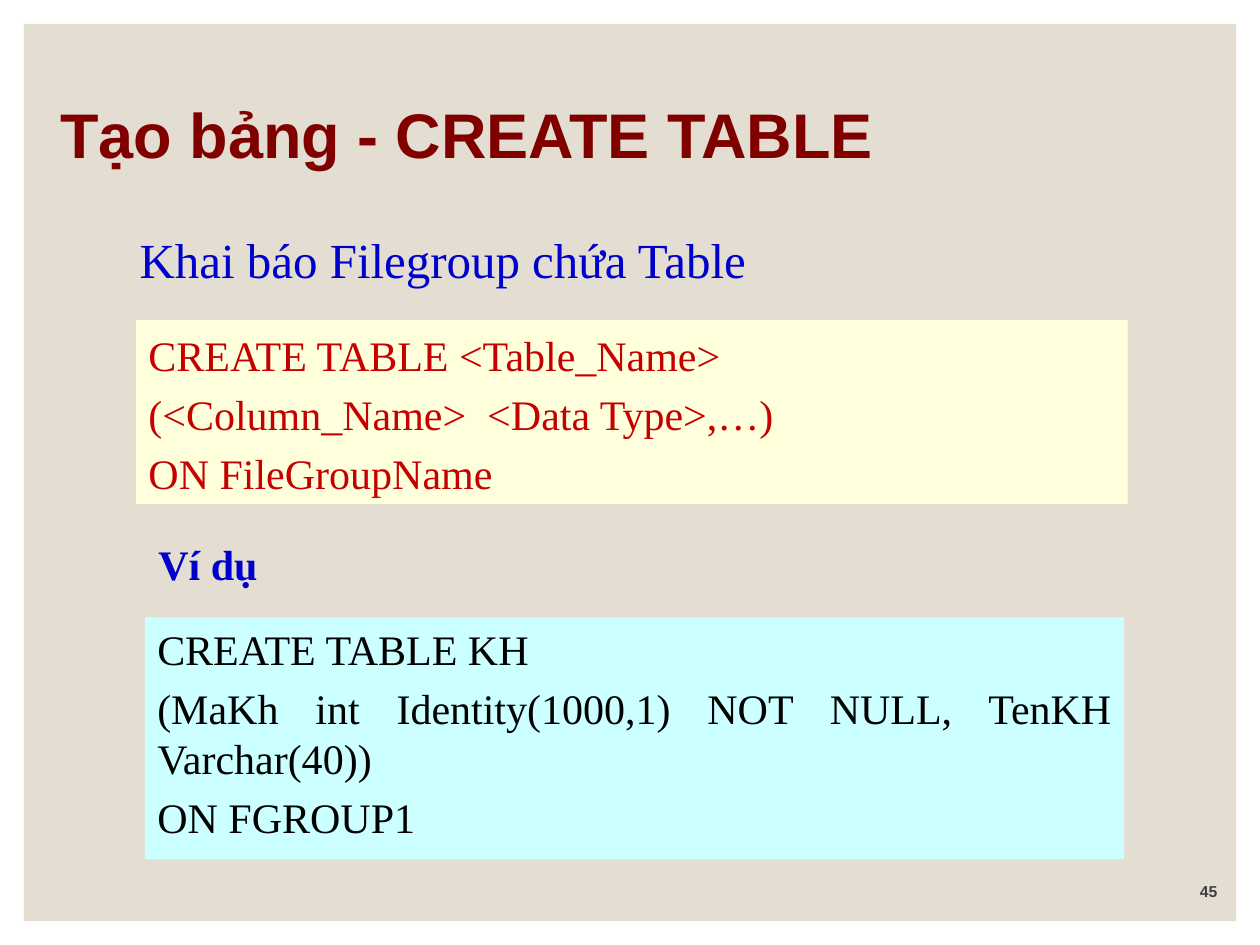
from dataclasses import dataclass

from pptx import Presentation
from pptx.dml.color import RGBColor
from pptx.enum.shapes import MSO_SHAPE as Preset
from pptx.enum.text import MSO_ANCHOR as Anchor, PP_ALIGN as Align
from pptx.util import Inches, Pt

SERIF = "Times New Roman"
SANS = "Arial"


@dataclass
class TextBlock:
    box: tuple[float, float, float, float]
    lines: list[str]
    size: int
    color: str
    font: str = SERIF
    bold: bool = False
    align: Align = Align.LEFT
    anchor: Anchor = Anchor.BOTTOM
    wrap: bool = True
    spacing: float = 0.2  # space before, as a share of the text size
    fill: str | None = None


BLOCKS = [
    TextBlock((0.38, 0.6, 8.52, 0.81), ["Tạo bảng - CREATE TABLE"], 36, "800000",
              font=SANS, bold=True, spacing=0),
    TextBlock((0.98, 1.77, 5.07, 0.57), ["Khai báo Filegroup chứa Table"], 28, "0000CC",
              align=Align.CENTER, wrap=False),
    TextBlock((1.08, 2.54, 7.87, 1.46),
              ["CREATE TABLE <Table_Name>",
               "(<Column_Name>  <Data Type>,…)",
               "ON FileGroupName"],
              24, "C60000", fill="FFFFDC"),
    TextBlock((1.14, 4.22, 1.02, 0.5), ["Ví dụ"], 24, "0000CC",
              bold=True, align=Align.CENTER, wrap=False),
    TextBlock((1.15, 4.9, 7.77, 1.92),
              ["CREATE TABLE KH",
               "(MaKh int Identity(1000,1) NOT NULL, TenKH Varchar(40))",
               "ON FGROUP1"],
              24, "000000", align=Align.JUSTIFY, anchor=Anchor.TOP, fill="CCFFFF"),
    TextBlock((8.56, 6.9, 1.2, 0.3), ["45"], 9, "404040",
              font=SANS, bold=True, align=Align.RIGHT, spacing=0),
]


def rgb(color: str) -> RGBColor:
    return RGBColor.from_string(color)


def add_panel(slide, box: tuple[float, float, float, float], fill: str):
    """Add a borderless filled rectangle."""
    shape = slide.shapes.add_shape(Preset.RECTANGLE, *map(Inches, box))
    shape.shadow.inherit = False
    shape.fill.solid()
    shape.fill.fore_color.rgb = rgb(fill)
    shape.line.fill.background()
    return shape


def add_text_block(slide, block: TextBlock) -> None:
    if block.fill:
        shape = add_panel(slide, block.box, block.fill)
    else:
        shape = slide.shapes.add_textbox(*map(Inches, block.box))
    frame = shape.text_frame
    frame.word_wrap = block.wrap
    frame.vertical_anchor = block.anchor
    for index, line in enumerate(block.lines):
        paragraph = frame.add_paragraph() if index else frame.paragraphs[0]
        paragraph.alignment = block.align
        paragraph.space_before = Pt(block.size * block.spacing)
        run = paragraph.add_run()
        run.text = line
        run.font.name = block.font
        run.font.size = Pt(block.size)
        run.font.bold = block.bold
        run.font.color.rgb = rgb(block.color)


def main() -> None:
    presentation = Presentation()
    presentation.slide_width = Inches(10)
    presentation.slide_height = Inches(7.5)
    slide = presentation.slides.add_slide(presentation.slide_layouts[6])
    slide.background.fill.solid()
    slide.background.fill.fore_color.rgb = rgb("FFFFFF")
    add_panel(slide, (0.19, 0.19, 9.62, 7.12), "E3DED1")
    for block in BLOCKS:
        add_text_block(slide, block)
    presentation.save("out.pptx")


if __name__ == "__main__":
    main()
